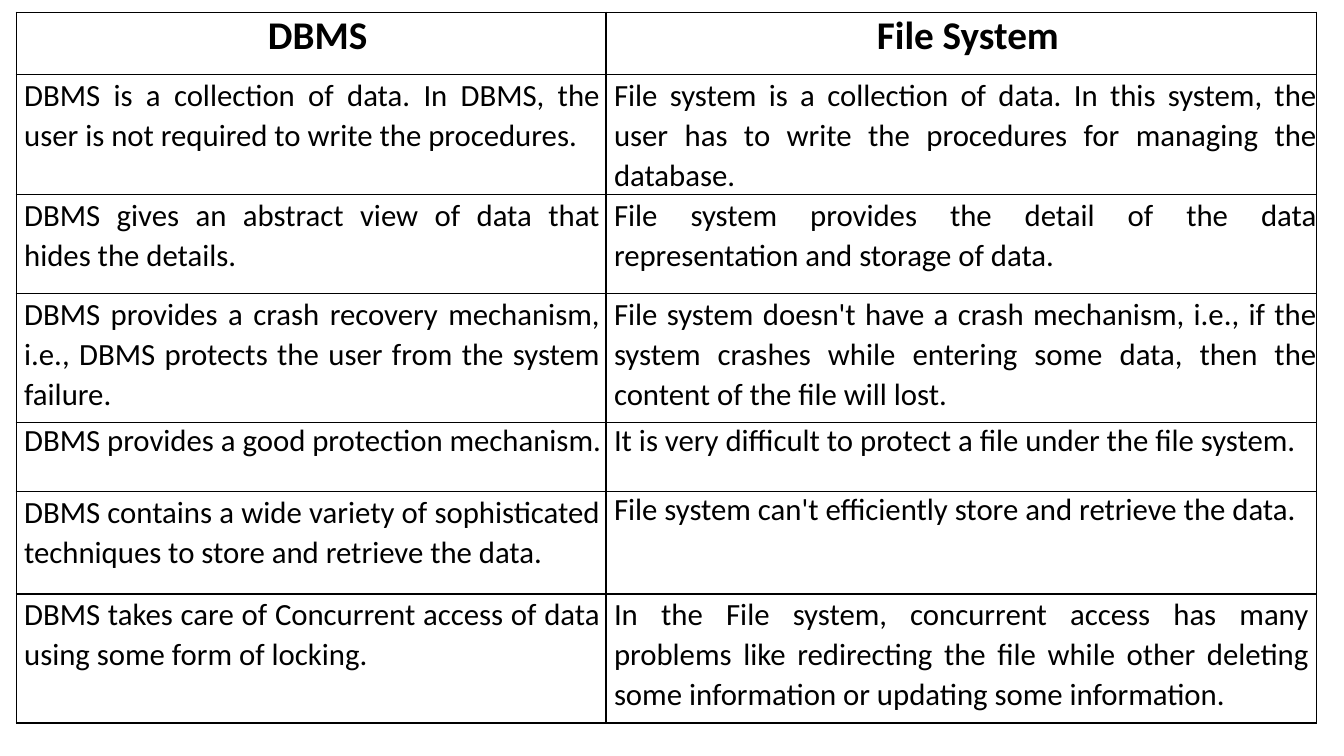
from lxml.etree import SubElement
from pptx import Presentation
from pptx.dml.color import RGBColor
from pptx.enum.text import PP_ALIGN
from pptx.oxml.ns import qn
from pptx.util import Inches, Pt

COLORS = {"ink": "000000", "paper": "FFFFFF"}
COL_WIDTHS = [5.85, 7.05]
HEADINGS = ["DBMS", "File System"]
HEADING_HEIGHT = 0.62
WRAPPED, SINGLE = 1.07, 1.0

# Row height, space before, then text, line spacing and right inset of each cell
ROWS = [
    (1.02, 5.4,
     ("DBMS is a collection of data. In DBMS, the user is not required to write the procedures.",
      WRAPPED, 0.06),
     ("File system is a collection of data. In this system, the user has to write "
      "the procedures for managing the database.", WRAPPED, 0)),
    (0.98, 5.8,
     ("DBMS gives an abstract view of data that hides the details.", WRAPPED, 0.06),
     ("File system provides the detail of the data representation and storage of data.",
      WRAPPED, 0)),
    (1.28, 5.8,
     ("DBMS provides a crash recovery mechanism, i.e., DBMS protects the user from "
      "the system failure.", WRAPPED, 0.06),
     ("File system doesn't have a crash mechanism, i.e., if the system crashes while "
      "entering some data, then the content of the file will lost.", WRAPPED, 0)),
    (0.68, 5.8,
     ("DBMS provides a good protection mechanism.", SINGLE, 0),
     ("It is very difficult to protect a file under the file system.", SINGLE, 0)),
    (1.02, 5.8,
     ("DBMS contains a wide variety of sophisticated techniques to store and retrieve the data.",
      WRAPPED, 0.06),
     ("File system can't efficiently store and retrieve the data.", SINGLE, 0)),
    (1.28, 5.8,
     ("DBMS takes care of Concurrent access of data using some form of locking.",
      WRAPPED, 0.06),
     ("In the File system, concurrent access has many problems like redirecting the file "
      "while other deleting some information or updating some information.", WRAPPED, 0.08)),
]


def add_borders(cell):
    tcPr = cell._tc.get_or_add_tcPr()
    for side in ("lnL", "lnR", "lnT", "lnB"):
        ln = SubElement(tcPr, qn(f"a:{side}"), w=str(Pt(1)))
        fill = SubElement(ln, qn("a:solidFill"))
        SubElement(fill, qn("a:srgbClr"), val=COLORS["ink"])


def fill_cell(cell, text, size, align, indent, before, spacing=None, inset=0, bold=False):
    """Write one bordered cell; indent and inset are in inches, before in points."""
    add_borders(cell)
    cell.fill.solid()
    cell.fill.fore_color.rgb = RGBColor.from_string(COLORS["paper"])
    cell.margin_left = cell.margin_top = cell.margin_bottom = 0
    cell.margin_right = Inches(inset)
    p = cell.text_frame.paragraphs[0]
    p.alignment = align
    p.space_before = Pt(before)
    p.line_spacing = spacing
    pPr = p._p.get_or_add_pPr()
    pPr.set("marL", str(Inches(indent)))
    pPr.set("indent", "0")
    r = p.add_run()
    r.text = text
    r.font.name = "Calibri"
    r.font.size = Pt(size)
    r.font.bold = bold
    r.font.color.rgb = RGBColor.from_string(COLORS["ink"])


prs = Presentation()
prs.slide_width, prs.slide_height = Inches(13.33), Inches(7.5)
s = prs.slides.add_slide(prs.slide_layouts[6])

heights = [HEADING_HEIGHT] + [row[0] for row in ROWS]
frame = s.shapes.add_table(len(heights), len(COL_WIDTHS), Inches(0.16), Inches(0.12),
                           Inches(sum(COL_WIDTHS)), Inches(sum(heights)))
table = frame.table
table.first_row = table.horz_banding = False
for column, width in zip(table.columns, COL_WIDTHS):
    column.width = Inches(width)
for row, height in zip(table.rows, heights):
    row.height = Inches(height)

for c, heading in enumerate(HEADINGS):
    fill_cell(table.cell(0, c), heading, 28, PP_ALIGN.CENTER, 0.13, 9.7, bold=True)
for i, (height, before, *cells) in enumerate(ROWS, start=1):
    for c, (text, spacing, inset) in enumerate(cells):
        fill_cell(table.cell(i, c), text, 22, PP_ALIGN.JUSTIFY, 0.08, before, spacing, inset)

prs.save("out.pptx")
